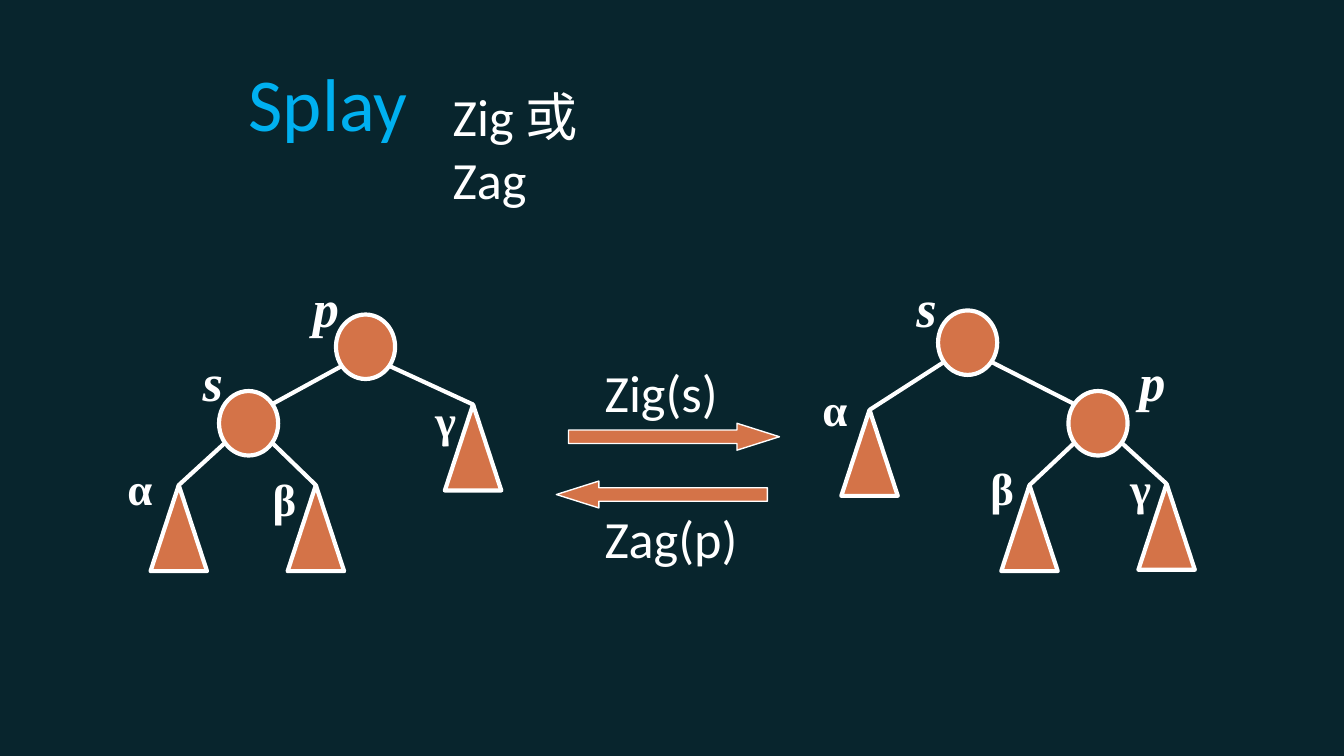
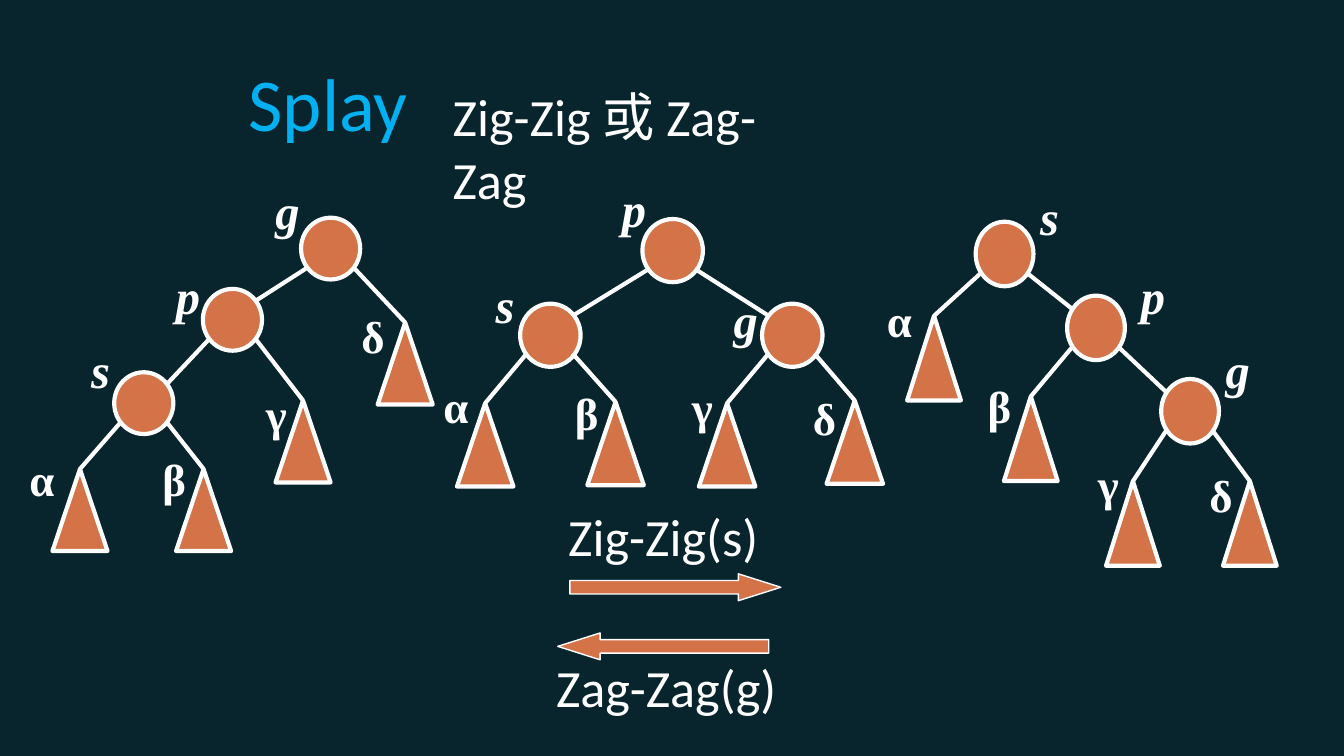
from dataclasses import dataclass

from lxml import etree
from pptx import Presentation
from pptx.dml.color import RGBColor
from pptx.enum.shapes import MSO_CONNECTOR, MSO_SHAPE
from pptx.enum.text import MSO_ANCHOR, MSO_AUTO_SIZE, PP_ALIGN
from pptx.oxml.ns import qn
from pptx.util import Emu, Inches, Pt

PX = 9144  # EMU in one px: 100 px to the inch
TITLE_ONLY = 5
OVAL, TRIANGLE = MSO_SHAPE.OVAL, MSO_SHAPE.ISOSCELES_TRIANGLE
RIGHT, LEFT = MSO_SHAPE.RIGHT_ARROW, MSO_SHAPE.LEFT_ARROW
STRAIGHT = MSO_CONNECTOR.STRAIGHT
ALIGN_LEFT, JUSTIFY = PP_ALIGN.LEFT, PP_ALIGN.JUSTIFY
TOP = MSO_ANCHOR.TOP
FIXED_SIZE = MSO_AUTO_SIZE.NONE


@dataclass(frozen=True)
class Theme:
    background: RGBColor = RGBColor(0x08, 0x25, 0x2D)
    title: RGBColor = RGBColor(0x00, 0xB0, 0xF0)
    accent: RGBColor = RGBColor(0xD4, 0x73, 0x48)
    ink: RGBColor = RGBColor(0xFF, 0xFF, 0xFF)
    body_font: str = "Calibri"
    math_font: str = "Times New Roman"
    title_size: int = 40
    caption_size: int = 28
    leaf_size: int = 24
    edge_width: float = 2.25
    arrow_width: float = 0.75


@dataclass(frozen=True)
class Node:
    """A tree vertex; without children it stands for a whole subtree."""
    label: str
    at: tuple
    label_at: tuple
    children: tuple = ()


@dataclass(frozen=True)
class TreeStyle:
    node: tuple
    leaf: tuple
    label: tuple
    label_size: int


def px(*lengths):
    return [Emu(length * PX) for length in lengths]


class Deck:
    edge_offset = (17, 14)  # from a node's centre to where its edges meet the rim

    def __init__(self, theme):
        self.theme = theme
        self.slide = None
        self.prs = Presentation()
        self.prs.slide_width, self.prs.slide_height = Inches(10), Inches(5.625)
        fill = self.prs.slide_master.background.fill
        fill.solid()
        fill.fore_color.rgb = theme.background

    def add_slide(self, title, subtitle, subtitle_width):
        self.slide = self.prs.slides.add_slide(self.prs.slide_layouts[TITLE_ONLY])
        heading = self.slide.shapes.title
        heading.left, heading.top, heading.width, heading.height = px(175, 37, 702, 77)
        self.set_text(heading, title, self.theme.title_size, self.theme.title)
        self.caption(subtitle, 327, 58, subtitle_width)

    def set_text(self, holder, text, size, color, font=None, align=ALIGN_LEFT,
                 bold=False, italic=False):
        frame = holder.text_frame
        frame.word_wrap = True
        frame.auto_size = FIXED_SIZE
        frame.vertical_anchor = TOP
        paragraph = frame.paragraphs[0]
        paragraph.text = text
        paragraph.alignment = align
        style = paragraph.font
        style.name, style.size = font or self.theme.body_font, Pt(size)
        style.bold, style.italic = bold, italic
        style.color.rgb = color

    def caption(self, text, left, top, width):
        box = self.slide.shapes.add_textbox(*px(left, top, width, 57))
        self.set_text(box, text, self.theme.caption_size, self.theme.ink)

    def solid(self, kind, at, size, line_width):
        shape = self.slide.shapes.add_shape(kind, *px(*at, *size))
        shape.shadow.inherit = False
        shape.fill.solid()
        shape.fill.fore_color.rgb = self.theme.accent
        shape.line.color.rgb = self.theme.ink
        shape.line.width = Pt(line_width)
        return shape

    def arrow(self, kind, left, top):
        shape = self.solid(kind, (left, top), (157, 20), self.theme.arrow_width)
        shape.adjustments[0], shape.adjustments[1] = 0.5, 1.579

    def rotations(self, forward, backward):
        """Draw the arrow pair; each argument is (text, text box, arrow left, arrow top)."""
        for kind, (text, box, left, top) in ((RIGHT, forward), (LEFT, backward)):
            self.arrow(kind, left, top)
            self.caption(text, *box)

    def edge(self, parent, child, style, child_shape):
        dx, dy = self.edge_offset
        (left, top), (width, height) = parent.at, style.node
        side = 1 if child.at[0] > left else -1
        start = (left + width // 2 + side * dx, top + height // 2 + dy)
        end = (child.at[0] + width // 2 - side * dx, child.at[1] + height // 2 - dy)
        line = self.slide.shapes.add_connector(STRAIGHT, *px(*start, *end))
        if not child.children:
            line.end_connect(child_shape, 0)
        line.line.color.rgb = self.theme.ink
        line.line.width = Pt(self.theme.edge_width)
        etree.SubElement(line._element.spPr, qn("a:effectLst"))

    def tree(self, node, style):
        """Draw the vertex and all below it, and return the shape of the vertex."""
        inner = bool(node.children)
        kind, size = (OVAL, style.node) if inner else (TRIANGLE, style.leaf)
        shape = self.solid(kind, node.at, size, self.theme.edge_width)
        for child in node.children:
            self.edge(node, child, style, self.tree(child, style))
        label = self.slide.shapes.add_textbox(*px(*node.label_at, *style.label))
        self.set_text(label, node.label,
                      style.label_size if inner else self.theme.leaf_size,
                      self.theme.ink, self.theme.math_font, JUSTIFY, True, inner)
        return shape


def single_rotation(deck):
    deck.add_slide("Splay", "Zig 或 Zag", 170)
    style = TreeStyle((44, 48), (42, 64), (70, 69), 28)
    before = Node("p", (250, 234), (223, 200), (
        Node("s", (163, 291), (141, 255), (
            Node("α", (112, 361), (85, 338)),
            Node("β", (214, 361), (193, 346)))),
        Node("γ", (331, 301), (314, 287))))
    after = Node("s", (698, 231), (672, 200), (
        Node("α", (626, 305), (602, 279)),
        Node("p", (795, 291), (838, 255), (
            Node("β", (745, 361), (727, 338)),
            Node("γ", (847, 360), (831, 338))))))
    for root in (before, after):
        deck.tree(root, style)
    deck.rotations(("Zig(s)", (440, 263, 105), 423, 315),
                   ("Zag(p)", (440, 372, 120), 414, 358))


def double_rotation(deck):
    deck.add_slide("Splay", "Zig-Zig 或 Zag-Zag", 290)
    before = Node("g", (224, 162), (195, 130), (
        Node("p", (151, 215), (121, 193), (
            Node("s", (85, 277), (58, 248), (
                Node("α", (39, 349), (12, 331)),
                Node("β", (131, 349), (111, 331)))),
            Node("γ", (205, 298), (188, 283)))),
        Node("δ", (281, 240), (259, 225))))
    between = Node("p", (478, 163), (453, 128), (
        Node("s", (387, 226), (359, 200), (
            Node("α", (340, 300), (320, 277)),
            Node("β", (437, 299), (418, 282)))),
        Node("g", (567, 226), (536, 211), (
            Node("γ", (520, 300), (505, 278)),
            Node("δ", (615, 298), (595, 286))))))
    after = Node("s", (726, 165), (764, 134), (
        Node("α", (675, 235), (650, 213)),
        Node("p", (794, 220), (839, 193), (
            Node("β", (747, 295), (725, 277)),
            Node("g", (864, 282), (902, 248), (
                Node("γ", (823, 358), (807, 335)),
                Node("δ", (910, 358), (890, 343))))))))
    deck.tree(before, TreeStyle((44, 46), (41, 61), (69, 66), 26))
    deck.tree(between, TreeStyle((45, 47), (42, 62), (70, 67), 26))
    deck.tree(after, TreeStyle((43, 48), (40, 63), (68, 68), 26))
    deck.rotations(("Zig-Zig(s)", (413, 370, 163), 424, 427),
                   ("Zag-Zag(g)", (404, 483, 193), 415, 471))


def main():
    deck = Deck(Theme())
    single_rotation(deck)
    double_rotation(deck)
    deck.prs.save("out.pptx")


if __name__ == "__main__":
    main()
